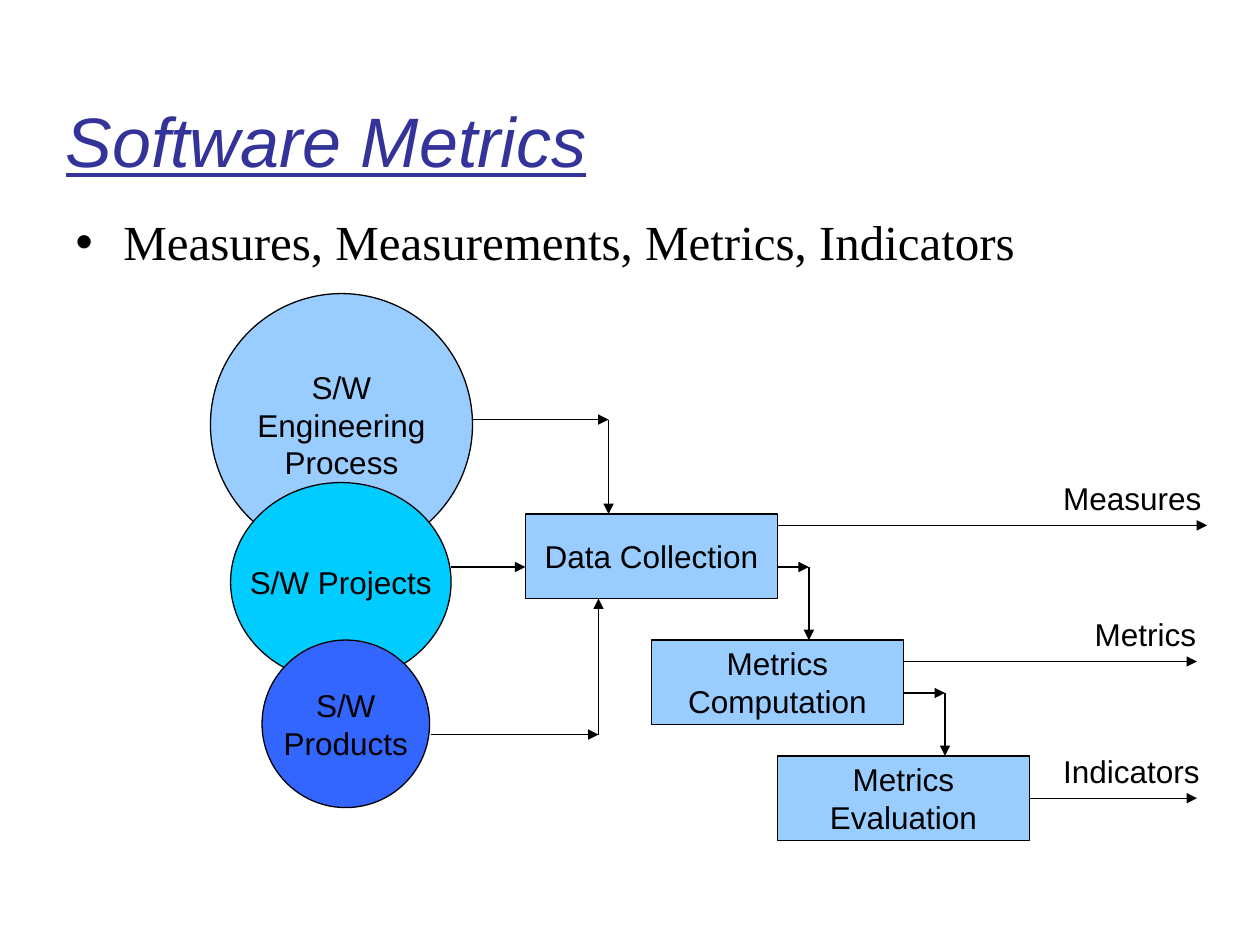
from itertools import pairwise

from pptx import Presentation
from pptx.dml.color import RGBColor
from pptx.enum.shapes import MSO_CONNECTOR as CONN, MSO_SHAPE as SHAPE
from pptx.enum.text import MSO_ANCHOR as ANCHOR, MSO_AUTO_SIZE as FIT, PP_ALIGN as ALIGN
from pptx.oxml.ns import qn
from pptx.util import Inches, Pt

BLACK, NAVY = "000000", "333399"
PALE, CYAN, BLUE = "99CCFF", "00CCFF", "3366FF"
STEP_W, STEP_H = 2, 0.67

CIRCLES = [
    ("S/W\nEngineering\nProcess", (1.67, 2.33, 2.08, 2.08), PALE),
    ("S/W Projects", (1.83, 3.83, 1.75, 1.58), CYAN),
    ("S/W\nProducts", (2.08, 5.08, 1.33, 1.33), BLUE),
]
STEPS = [
    ("Data Collection", 4.17, 4.08),
    ("Metrics\nComputation", 5.17, 5.08),
    ("Metrics\nEvaluation", 6.17, 6),
]
ROUTES = [
    [(3.58, 4.5), (4.17, 4.5)],
    [(3.75, 3.33), (4.83, 3.33), (4.83, 4.08)],
    [(3.42, 5.83), (4.75, 5.83), (4.75, 4.75)],
    [(6.17, 4.5), (6.42, 4.5), (6.42, 5.08)],
    [(6.17, 4.17), (9.58, 4.17)],
    [(7.17, 5.5), (7.5, 5.5), (7.5, 6)],
    [(7.17, 5.25), (9.5, 5.25)],
]
OUTPUTS = [
    ("Indicators", (8.34, 5.92, 1.34, 0.4)),
    ("Metrics", (8.59, 4.83, 1.06, 0.4)),
    ("Measures", (8.34, 3.75, 1.34, 0.4)),
]


def rgb(color):
    """Turn a hex string into a colour."""
    return RGBColor.from_string(color)


def write(tf, text, size=18, font="Arial", color=BLACK, italic=False, underline=False,
          align=ALIGN.LEFT, anchor=ANCHOR.TOP, wrap=False):
    """Fill a text frame with one paragraph per line of text."""
    tf.word_wrap, tf.auto_size, tf.vertical_anchor = wrap, FIT.NONE, anchor
    for i, line in enumerate(text.split("\n")):
        p = tf.add_paragraph() if i else tf.paragraphs[0]
        p.alignment = align
        r = p.add_run()
        r.text = line
        r.font.name, r.font.size = font, Pt(size)
        r.font.italic, r.font.underline = italic, underline
        r.font.color.rgb = rgb(color)


def place(sp, left, top, width, height):
    """Move and size a shape, in inches."""
    sp.left, sp.top = Inches(left), Inches(top)
    sp.width, sp.height = Inches(width), Inches(height)


def add_node(s, kind, text, box, fill):
    """Add an outlined, filled shape with centred text."""
    sp = s.shapes.add_shape(kind, *map(Inches, box))
    sp.shadow.inherit = False
    sp.fill.solid()
    sp.fill.fore_color.rgb = rgb(fill)
    sp.line.color.rgb = rgb(BLACK)
    sp.line.width = Pt(0.75)
    write(sp.text_frame, text, align=ALIGN.CENTER, anchor=ANCHOR.MIDDLE)
    return sp


def add_arrow(s, start, end):
    """Add a straight connector with a triangular head at its end."""
    c = s.shapes.add_connector(CONN.STRAIGHT, *map(Inches, (*start, *end)))
    c.line.color.rgb = rgb(BLACK)
    c.line.width = Pt(0.75)
    ln = c.line._get_or_add_ln()
    ln.append(ln.makeelement(qn("a:tailEnd"), {"type": "triangle"}))
    spPr = c._element.spPr
    spPr.append(spPr.makeelement(qn("a:effectLst"), {}))
    return c


def add_label(s, text, box):
    """Add a text box with one line of text."""
    sp = s.shapes.add_textbox(*map(Inches, box))
    write(sp.text_frame, text, wrap=True)


def fill_placeholders(s):
    """Write the title and the bulleted line."""
    title, body = s.shapes.title, s.placeholders[1]
    place(title, 0.42, 0.8, 9, 0.61)
    write(title.text_frame, "Software Metrics", size=40, color=NAVY, italic=True,
          underline=True, anchor=ANCHOR.MIDDLE, wrap=True)
    place(body, 0.5, 1.63, 9.25, 0.79)
    write(body.text_frame, "Measures, Measurements, Metrics, Indicators", size=28,
          font="Times New Roman", wrap=True)
    p = body.text_frame.paragraphs[0]
    p.space_before = Pt(7)
    pPr = p._p.get_or_add_pPr()
    pPr.set("marL", str(Inches(0.38)))
    pPr.set("indent", str(Inches(-0.38)))
    pPr.append(pPr.makeelement(qn("a:buChar"), {"char": "•"}))


def main():
    """Build and save the slide."""
    prs = Presentation()
    prs.slide_width, prs.slide_height = Inches(10), Inches(7.5)
    s = prs.slides.add_slide(prs.slide_layouts[1])
    fill_placeholders(s)
    for text, box, fill in CIRCLES:
        add_node(s, SHAPE.OVAL, text, box, fill)
    steps = [add_node(s, SHAPE.RECTANGLE, text, (x, y, STEP_W, STEP_H), PALE)
             for text, x, y in STEPS]
    for route in ROUTES:
        for start, end in pairwise(route):
            add_arrow(s, start, end)
    _, x, y = STEPS[-1]
    mid = y + STEP_H / 2
    add_arrow(s, (x + STEP_W, mid), (9.5, mid)).begin_connect(steps[-1], 3)
    for text, box in OUTPUTS:
        add_label(s, text, box)
    prs.save("out.pptx")


if __name__ == "__main__":
    main()
